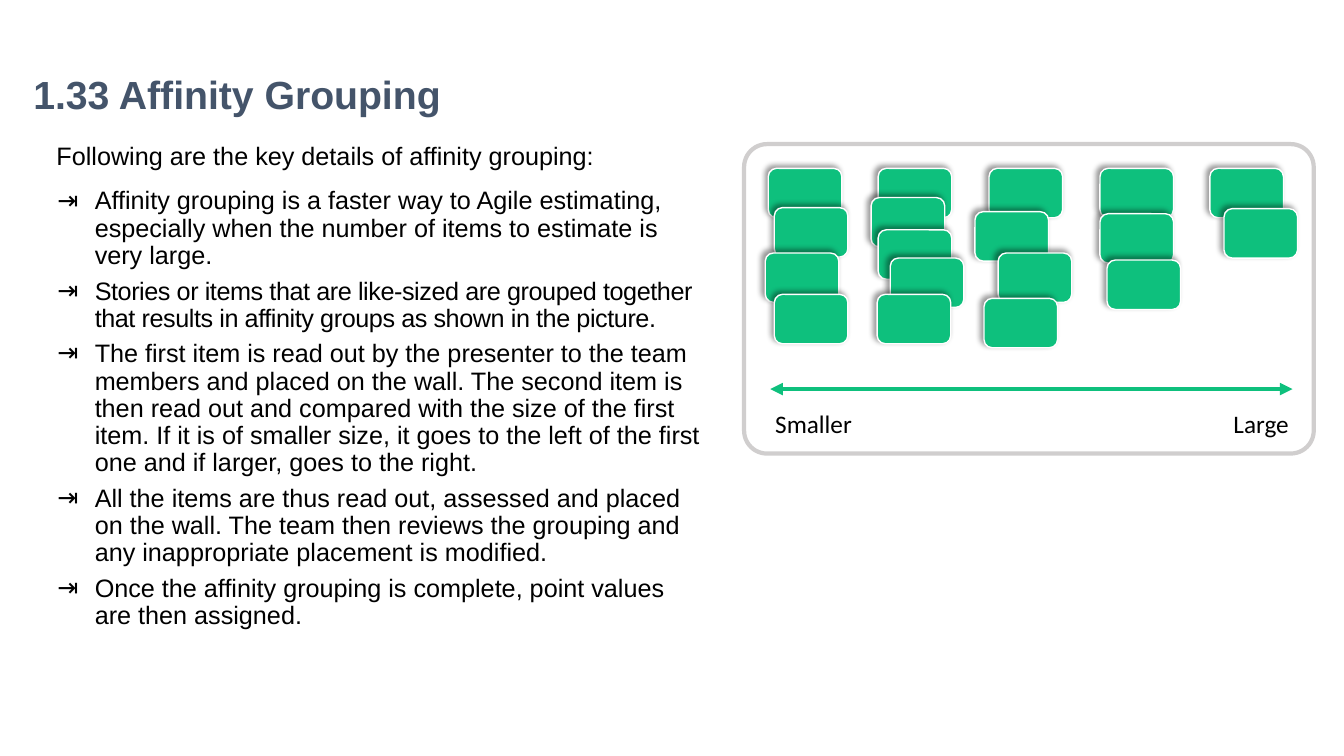
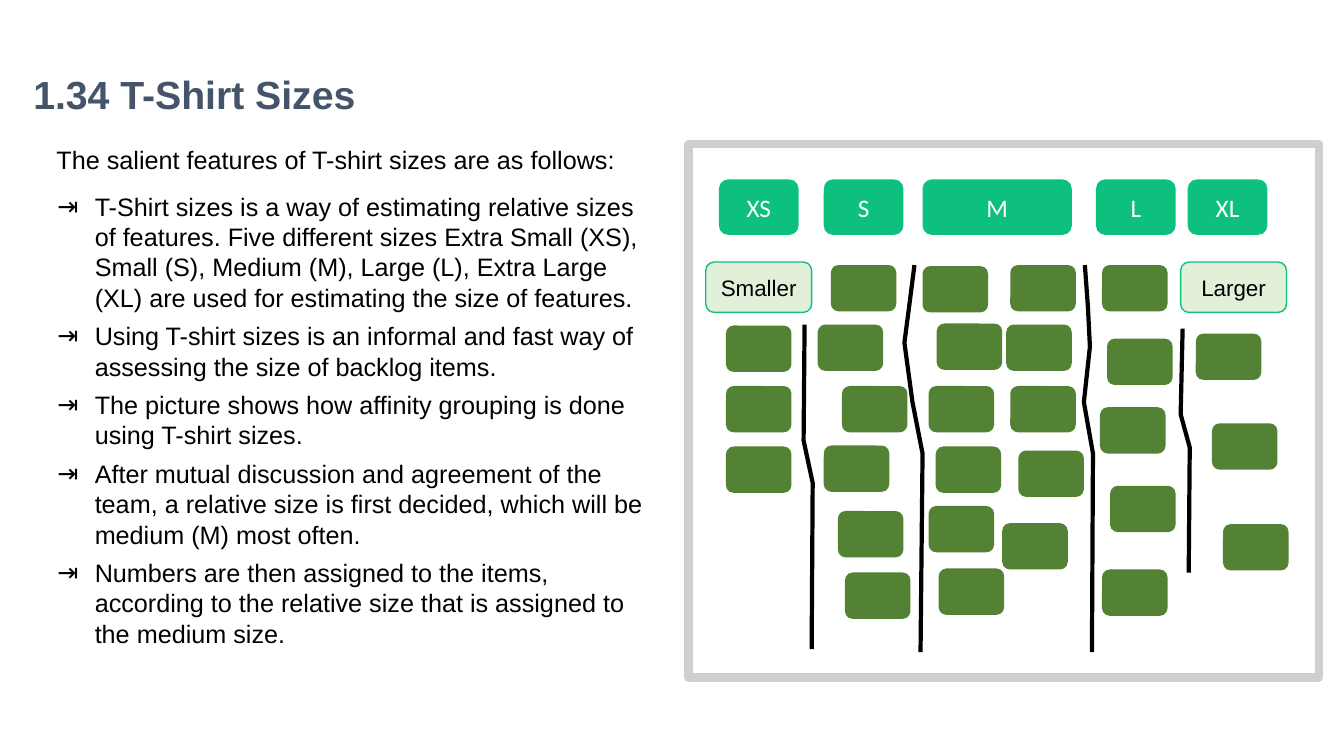
from pptx import Presentation
from pptx.util import Inches, Pt
from pptx.dml.color import RGBColor
from pptx.enum.shapes import MSO_SHAPE as SHAPE, MSO_CONNECTOR as LINK
from pptx.enum.text import PP_ALIGN as ALIGN, MSO_ANCHOR as ANCHOR, MSO_AUTO_SIZE as FIT
from pptx.oxml import parse_xml
from pptx.oxml.ns import nsdecls
from lxml.etree import SubElement
from pptx.oxml.ns import qn

# Colours
SLATE = RGBColor(0x44, 0x54, 0x6A)
BLACK = RGBColor(0, 0, 0)
WHITE = RGBColor(0xFF, 0xFF, 0xFF)
GREEN = RGBColor(0x0E, 0xC0, 0x7D)
OLIVE = RGBColor(0x54, 0x82, 0x35)
PALE = RGBColor(0xE2, 0xF0, 0xD9)
GREY = RGBColor(0xD0, 0xCE, 0xCE)

# Content: affinity grouping
AFFINITY = {
    "title": "1.33 Affinity Grouping",
    "lead": "Following are the key details of affinity grouping:",
    "points": [
        "Affinity grouping is a faster way to Agile estimating, especially when "
        "the number of items to estimate is very large.",
        "Stories or items that are like-sized are grouped together that results "
        "in affinity groups as shown in the picture.",
        "The first item is read out by the presenter to the team members and "
        "placed on the wall. The second item is then read out and compared with "
        "the size of the first item. If it is of smaller size, it goes to the left "
        "of the first one and if larger, goes to the right.",
        "All the items are thus read out, assessed and placed on the wall. The team "
        "then reviews the grouping and any inappropriate placement is modified.",
        "Once the affinity grouping is complete, point values are then assigned.",
    ],
    "width": 6.49, "spacing": 0.9, "tight": 1,
}
# Cards of each pile, smallest items first: (left, top)
PILES = [
    [(7.62, 1.67), (7.68, 2.06), (7.59, 2.51), (7.68, 2.92)],
    [(8.71, 1.67), (8.64, 1.96), (8.71, 2.28), (8.83, 2.56), (8.7, 2.92)],
    [(9.81, 1.67), (9.67, 2.1), (9.9, 2.51), (9.76, 2.96)],
    [(10.91, 1.67), (10.91, 2.12), (10.98, 2.58)],
    [(12, 1.67), (12.14, 2.07)],
]
ENDS = [("Smaller", 7.59, ALIGN.LEFT), ("Large", 11.5, ALIGN.RIGHT)]

# Content: T-shirt sizes
SHIRTS = {
    "title": "1.34 T-Shirt Sizes",
    "lead": "The salient features of T-shirt sizes are as follows:",
    "points": [
        "T-Shirt sizes is a way of estimating relative sizes of features. Five "
        "different sizes Extra Small (XS), Small (S), Medium (M), Large (L), Extra "
        "Large (XL) are used for estimating the size of features.",
        "Using T-shirt sizes is an informal and fast way of assessing the size of "
        "backlog items.",
        "The picture shows how affinity grouping is done using T-shirt sizes.",
        "After mutual discussion and agreement of the team, a relative size is first "
        "decided, which will be medium (M) most often.",
        "Numbers are then assigned to the items, according to the relative size that "
        "is assigned to the medium size.",
    ],
    "width": 6.05, "spacing": 1.0, "tight": None,
}
# Size, left and width of its header, notes below it
SIZES = [
    ("XS", 7.13, 0.79, [(7.2, 3.23), (7.2, 3.83), (7.2, 4.43)]),
    ("S", 8.17, 0.79, [(8.24, 2.63), (8.11, 3.22), (8.35, 3.83), (8.17, 4.42),
                       (8.31, 5.07), (8.38, 5.68)]),
    ("M", 9.15, 1.48, [(9.15, 2.64), (10.02, 2.63), (9.29, 3.21), (9.98, 3.22),
                       (9.21, 3.83), (10.02, 3.83), (9.28, 4.43), (10.1, 4.47),
                       (9.21, 5.02), (9.94, 5.19), (9.31, 5.64)]),
    ("L", 10.87, 0.79, [(10.93, 2.63), (10.98, 3.36), (10.91, 4.04), (11.01, 4.82),
                        (10.93, 5.65)]),
    ("XL", 11.78, 0.79, [(11.86, 3.31), (12.02, 4.2), (12.13, 5.2)]),
]
TAGS = [("Smaller", 7), ("Larger", 11.71)]
BORDERS = [
    [(7.98, 3.22), (7.97, 4.37), (8.06, 4.79), (8.05, 6.44)],
    [(9.07, 2.63), (9.02, 3.02), (8.97, 3.4), (9.05, 3.99), (9.15, 4.5), (9.13, 6.47)],
    [(10.76, 2.63), (10.79, 3.04), (10.81, 3.44), (10.75, 3.99), (10.84, 4.5),
     (10.83, 6.47)],
    [(11.73, 3.26), (11.71, 4.11), (11.8, 4.44), (11.79, 5.68)],
]


# Shared helpers
def place(shape, x, y, w, h):
    shape.left, shape.top = Inches(x), Inches(y)
    shape.width, shape.height = Inches(w), Inches(h)


def write(para, text, size, face="Arial", color=BLACK, bold=False):
    run = para.add_run()
    run.text = text
    font = run.font
    font.size, font.name, font.bold = Pt(size), face, bold
    font.color.rgb = color
    return run


def indent(para, left, first, mark=None):
    props = para._p.get_or_add_pPr()
    props.set("marL", str(Inches(left)))
    props.set("indent", str(Inches(first)))
    if mark:
        tint = SubElement(props, qn("a:buClr"))
        SubElement(tint, qn("a:srgbClr")).set("val", str(BLACK))
        SubElement(props, qn("a:buFont")).set("typeface", "Arial")
        SubElement(props, qn("a:buChar")).set("char", mark)
    else:
        SubElement(props, qn("a:buNone"))


def paint(shape, fill=None, line=None, weight=1):
    shape.shadow.inherit = False
    if fill is None:
        shape.fill.background()
    else:
        shape.fill.solid()
        shape.fill.fore_color.rgb = fill
    if line is None:
        shape.line.fill.background()
    else:
        shape.line.color.rgb = line
        shape.line.width = Pt(weight)


def box(slide, kind, x, y, w, h, fill=None, line=None, weight=1):
    shape = slide.shapes.add_shape(kind, Inches(x), Inches(y), Inches(w), Inches(h))
    paint(shape, fill, line, weight)
    return shape


def label(shape, text, size, face, color):
    frame = shape.text_frame
    frame.vertical_anchor = ANCHOR.MIDDLE
    para = frame.paragraphs[0]
    para.alignment = ALIGN.CENTER
    write(para, text, size, face, color)


def start(deck, topic):
    slide = deck.slides.add_slide(deck.slide_layouts[1])
    title, body = slide.shapes.title, slide.placeholders[1]

    # Title
    place(title, 0.23, 0.69, 11.5, 0.54)
    title.text_frame.auto_size = FIT.NONE
    title.text_frame.vertical_anchor = ANCHOR.MIDDLE
    para = title.text_frame.paragraphs[0]
    para.alignment, para.line_spacing = ALIGN.LEFT, 0.9
    write(para, topic["title"], 28, color=SLATE, bold=True)

    # Lead line and list
    place(body, 0.56, 1.43, topic["width"], 5.29)
    frame = body.text_frame
    frame.auto_size, frame.vertical_anchor = FIT.NONE, ANCHOR.TOP
    frame.margin_left = frame.margin_top = 0
    para = frame.paragraphs[0]
    para.line_spacing = topic["spacing"]
    para.space_before = para.space_after = Pt(6)
    indent(para, 0, 0)
    write(para, topic["lead"], 18)
    for i, text in enumerate(topic["points"]):
        para = frame.add_paragraph()
        para.level, para.line_spacing = 1, topic["spacing"]
        para.space_before, para.space_after = Pt(6), Pt(0)
        indent(para, 0.38, -0.37, "\u21e5")
        run = write(para, text, 18)
        if i == topic["tight"]:
            run._r.get_or_add_rPr().set("spc", "-30")
    return slide


def shade(shape):
    glow = parse_xml(
        f'<a:outerShdw {nsdecls("a")} blurRad="{Pt(4)}" dist="{Pt(3)}" '
        f'dir="{225 * 60000}" algn="br" rotWithShape="0"><a:srgbClr val="{BLACK}">'
        '<a:alpha val="40000"/></a:srgbClr></a:outerShdw>')
    shape._element.spPr.find(qn("a:effectLst")).append(glow)


deck = Presentation()
deck.slide_width, deck.slide_height = Inches(13.33), Inches(7.5)

# Slide 1: piles of cards on a scale
slide = start(deck, AFFINITY)
for pile in PILES:
    for x, y in pile:
        shade(box(slide, SHAPE.ROUNDED_RECTANGLE, x, y, 0.73, 0.49, GREEN, WHITE))
wall = box(slide, SHAPE.ROUNDED_RECTANGLE, 7.38, 1.43, 5.65, 3.07, line=GREY, weight=3)
wall.adjustments[0] = 0.074

scale = slide.shapes.add_connector(
    LINK.STRAIGHT, Inches(7.64), Inches(3.86), Inches(12.82), Inches(3.86))
scale.line.color.rgb, scale.line.width = GREEN, Pt(3)
for end in ("a:headEnd", "a:tailEnd"):
    SubElement(scale.line._get_or_add_ln(), qn(end)).set("type", "triangle")
SubElement(scale._element.spPr, qn("a:effectLst"))

for text, x, side in ENDS:
    note = slide.shapes.add_textbox(Inches(x), Inches(4), Inches(1.38), Inches(0.42))
    note.text_frame.word_wrap = True
    para = note.text_frame.paragraphs[0]
    para.alignment = side
    write(para, text, 18, "Calibri")

# Slide 2: board with a column per size
slide = start(deck, SHIRTS)
box(slide, SHAPE.RECTANGLE, 6.83, 1.43, 6.25, 5.29, WHITE, GREY, 6)
for size, left, width, notes in SIZES:
    head = box(slide, SHAPE.ROUNDED_RECTANGLE, left, 1.78, width, 0.55, GREEN)
    label(head, size, 18, "Calibri", WHITE)
    for x, y in notes:
        box(slide, SHAPE.ROUNDED_RECTANGLE, x, y, 0.65, 0.46, OLIVE)
for text, x in TAGS:
    tag = box(slide, SHAPE.ROUNDED_RECTANGLE, x, 2.6, 1.05, 0.5, PALE, GREEN)
    label(tag, text, 16, "Arial", BLACK)

# Lines between the columns
for border in BORDERS:
    first, *rest = [(Inches(x), Inches(y)) for x, y in border]
    pen = slide.shapes.build_freeform(*first)
    pen.add_line_segments(rest, close=False)
    paint(pen.convert_to_shape(), line=BLACK, weight=3)

deck.save("out.pptx")
